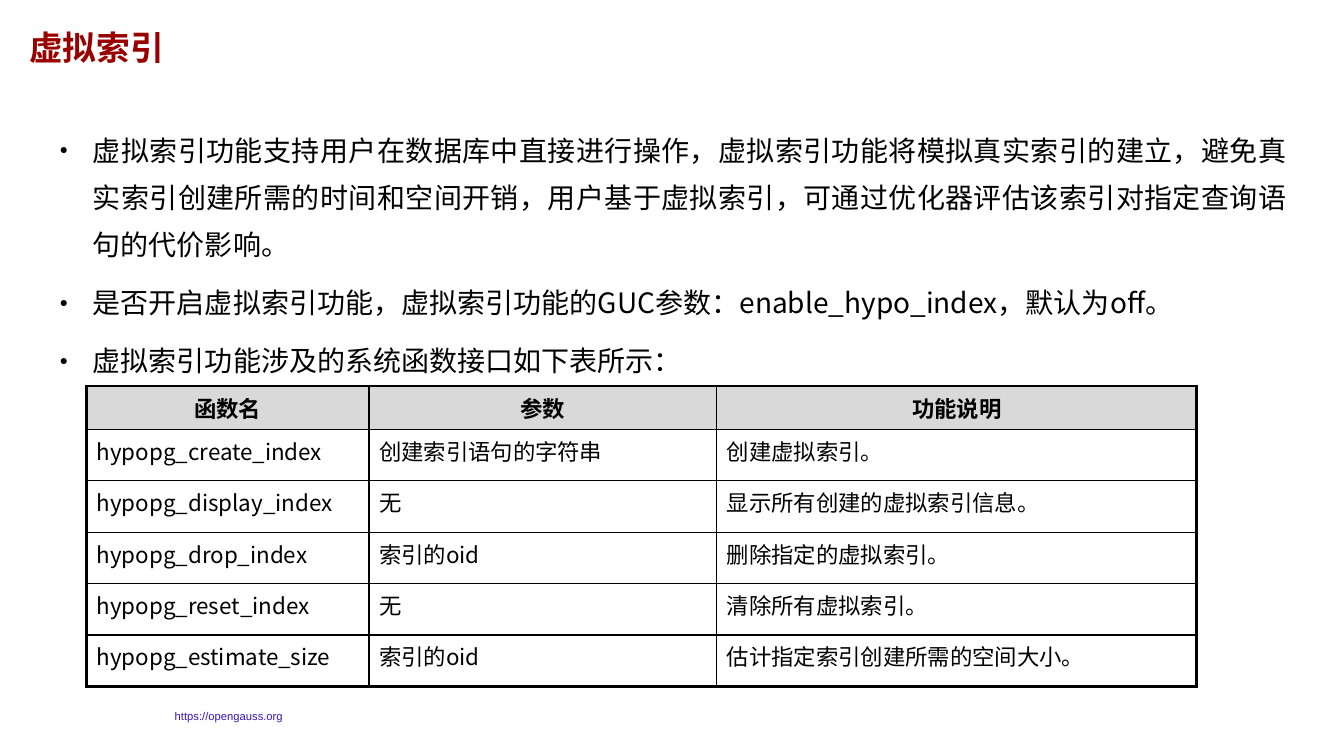
from lxml.etree import SubElement
from pptx import Presentation
from pptx.dml.color import RGBColor
from pptx.enum.text import MSO_ANCHOR as Anchor, PP_ALIGN as Align
from pptx.oxml.ns import qn
from pptx.util import Inches, Pt

# Content
TITLE = "虚拟索引"
POINTS = [
    "虚拟索引功能支持用户在数据库中直接进行操作，虚拟索引功能将模拟真实索引的建立，避免真实索引创建所需的时间和空间开销，用户基于虚拟索引，可通过优化器评估该索引对指定查询语句的代价影响。",
    "是否开启虚拟索引功能，虚拟索引功能的GUC参数：enable_hypo_index，默认为off。",
    "虚拟索引功能涉及的系统函数接口如下表所示：",
]
FUNCTIONS = [
    ("函数名", "参数", "功能说明"),
    ("hypopg_create_index", "创建索引语句的字符串", "创建虚拟索引。"),
    ("hypopg_display_index", "无", "显示所有创建的虚拟索引信息。"),
    ("hypopg_drop_index", "索引的oid", "删除指定的虚拟索引。"),
    ("hypopg_reset_index", "无", "清除所有虚拟索引。"),
    ("hypopg_estimate_size", "索引的oid", "估计指定索引创建所需的空间大小。"),
]
SITE = "https://opengauss.org"

# Style and layout, in inches and points
COLORS = {"title": "990000", "text": "000000", "header": "D9D9D9",
          "cell": "FFFFFF", "border": "000000", "site": "3A11BA"}
CJK, LATIN = "Noto Sans CJK SC", "Arial"
TITLE_BOX = (0.29, 0.31, 11.74, 0.48)
POINTS_BOX = (0.5, 1.15, 12.35, 5.34)
SITE_BOX = (1.57, 6.99, 1.4, 0.4)
TABLE_AT = (0.86, 3.83)
COLUMNS = (2.8, 3.45, 4.76)
HEADER_ROW, BODY_ROW = 0.43, 0.51
INDENT = 0.33
OUTER, INNER = 2.25, 1


def inches(values):
    return [Inches(v) for v in values]


def style(paragraph, size, color, font=CJK, bold=False):
    for run in paragraph.runs:
        run.font.name = font
        run.font.size = Pt(size)
        run.font.bold = bold
        run.font.color.rgb = RGBColor.from_string(COLORS[color])
        SubElement(run.font._element, qn("a:ea"), typeface=font)


def set_margins(frame, x, y):
    frame.margin_left = frame.margin_right = Inches(x)
    frame.margin_top = frame.margin_bottom = Inches(y)


def add_bullet(paragraph):
    props = paragraph._p.get_or_add_pPr()
    props.set("marL", str(Inches(INDENT)))
    props.set("indent", str(-Inches(INDENT)))
    SubElement(props, qn("a:buSzPct"), val="50000")
    SubElement(props, qn("a:buFont"), typeface=LATIN)
    SubElement(props, qn("a:buChar"), char="●")


def add_borders(cell, widths):
    props = cell._tc.get_or_add_tcPr()
    for side, width in zip("LRTB", widths):
        line = SubElement(props, qn(f"a:ln{side}"), w=str(Pt(width)))
        fill = SubElement(line, qn("a:solidFill"))
        SubElement(fill, qn("a:srgbClr"), val=COLORS["border"])


deck = Presentation()
deck.slide_width, deck.slide_height = inches((13.33, 7.5))
slide = deck.slides.add_slide(deck.slide_layouts[5])

# Title
title = slide.shapes.title
title.left, title.top, title.width, title.height = inches(TITLE_BOX)
heading = title.text_frame
heading.text = TITLE
heading.vertical_anchor = Anchor.TOP
set_margins(heading, 0, 0)
heading.paragraphs[0].alignment = Align.LEFT
heading.paragraphs[0].line_spacing = 0.9
style(heading.paragraphs[0], 24, "title", bold=True)

# Bullet points
points = slide.shapes.add_textbox(*inches(POINTS_BOX)).text_frame
points.word_wrap = True
set_margins(points, 0.09, 0.04)
points.text = "\n".join(POINTS)
for i, point in enumerate(points.paragraphs):
    add_bullet(point)
    point.alignment = Align.JUSTIFY
    point.line_spacing = 1.4
    point.space_before = Pt(7.9 if i else 0)
    style(point, 20, "text")

# Function table
last_row, last_col = len(FUNCTIONS) - 1, len(COLUMNS) - 1
table_height = HEADER_ROW + BODY_ROW * last_row
functions = slide.shapes.add_table(
    len(FUNCTIONS), len(COLUMNS),
    *inches((*TABLE_AT, sum(COLUMNS), table_height))).table
functions.horz_banding = False
for column, width in zip(functions.columns, COLUMNS):
    column.width = Inches(width)
for r, texts in enumerate(FUNCTIONS):
    is_header = r == 0
    functions.rows[r].height = Inches(HEADER_ROW if is_header else BODY_ROW)
    for c, text in enumerate(texts):
        cell = functions.cell(r, c)
        cell.text = text
        set_margins(cell, 0.1, 0.05)
        cell.vertical_anchor = Anchor.MIDDLE if is_header else Anchor.TOP
        on_edge = (c == 0, c == last_col, r == 0, r == last_row)
        add_borders(cell, [OUTER if edge else INNER for edge in on_edge])
        cell.fill.solid()
        cell.fill.fore_color.rgb = RGBColor.from_string(
            COLORS["header" if is_header else "cell"])
        paragraph = cell.text_frame.paragraphs[0]
        paragraph.alignment = Align.CENTER if is_header else Align.LEFT
        style(paragraph, 16, "text", bold=is_header)

# Site address
site = slide.shapes.add_textbox(*inches(SITE_BOX)).text_frame
site.word_wrap = True
site.text = SITE
site.paragraphs[0].alignment = Align.CENTER
style(site.paragraphs[0], 8, "site", font=LATIN)

deck.save("out.pptx")
